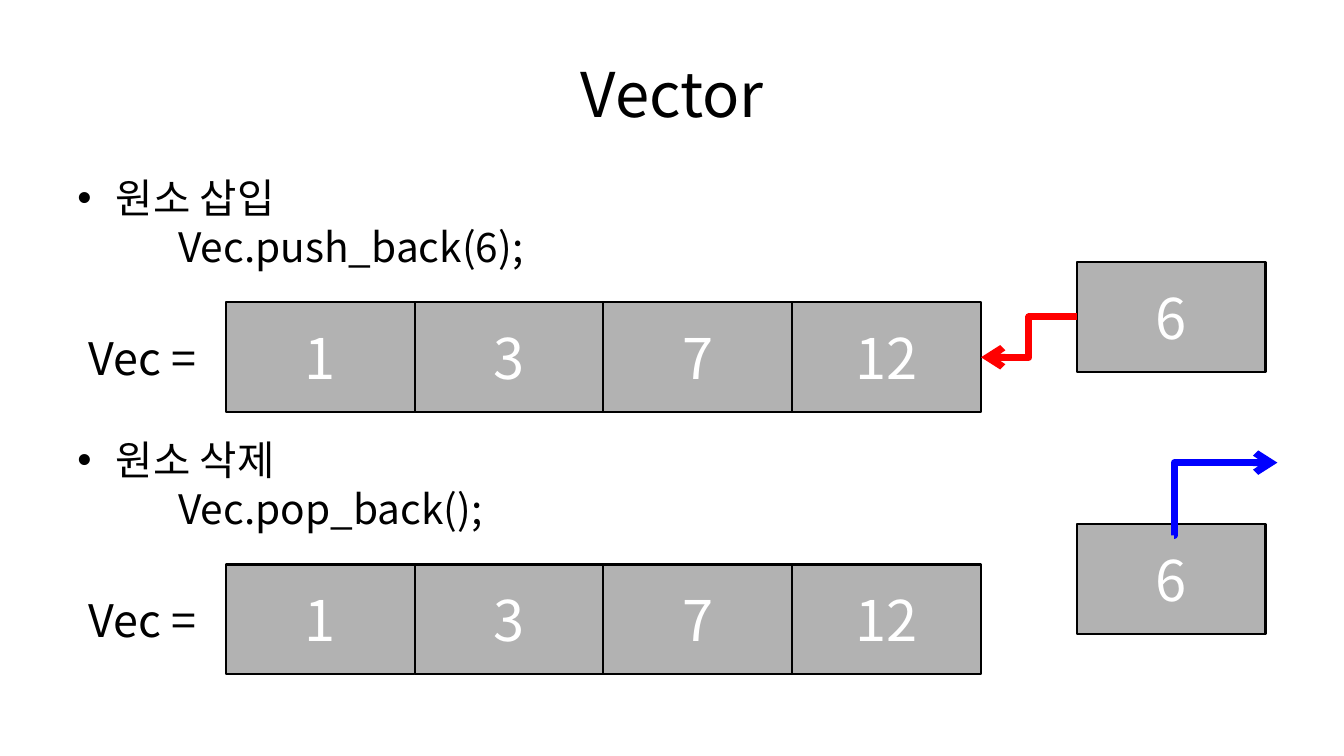
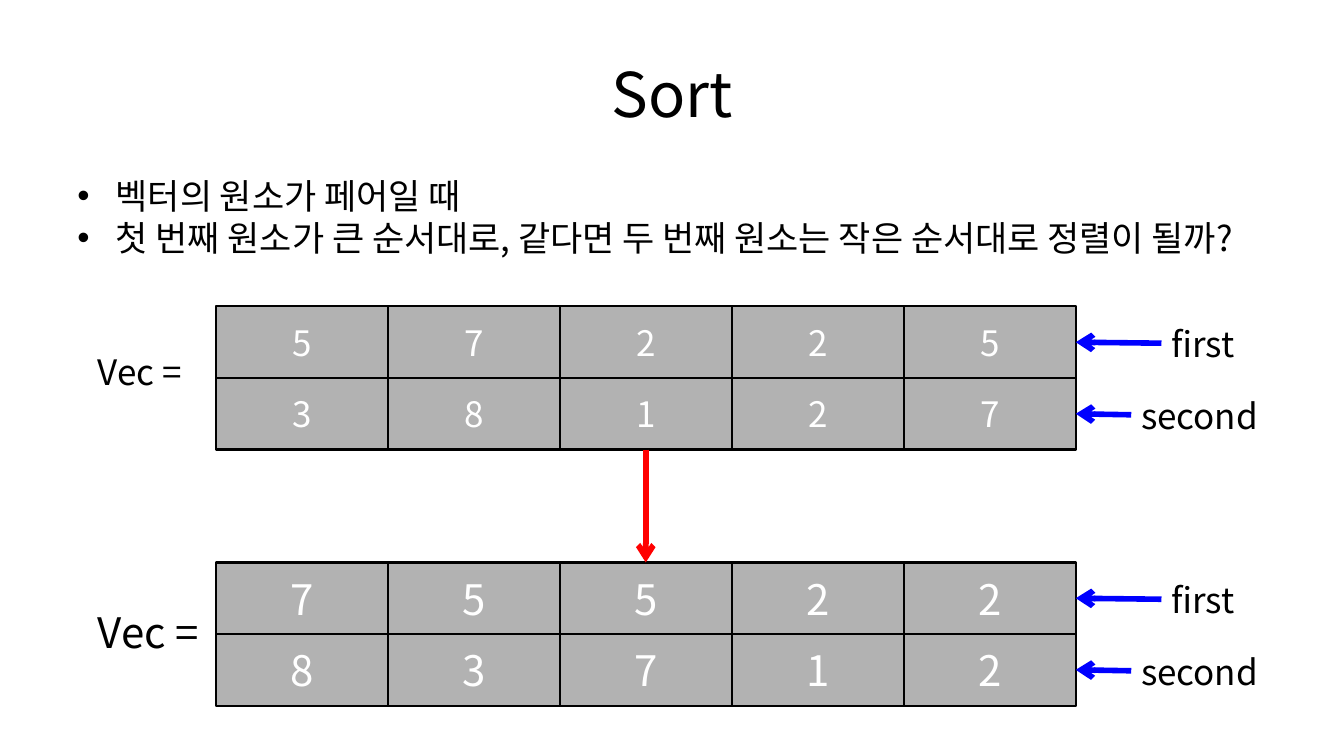
"""Build two slides on inserting into, removing from and sorting a vector."""
from dataclasses import dataclass

from lxml import etree
from pptx import Presentation
from pptx import util as u
from pptx.dml.color import RGBColor
from pptx.enum import shapes, text
from pptx.oxml.ns import qn


@dataclass(frozen=True)
class Theme:
    font: str = "Noto Sans CJK KR"
    ink: RGBColor = RGBColor(0, 0, 0)
    light: RGBColor = RGBColor(255, 255, 255)
    cell: RGBColor = RGBColor(0xB2, 0xB2, 0xB2)
    red: RGBColor = RGBColor(255, 0, 0)
    blue: RGBColor = RGBColor(0, 0, 255)
    title: int = 44
    element: int = 40
    label: int = 32
    operation: int = 29
    small: int = 25
    sorted_pair: int = 30


theme = Theme()


def add_text(page, frame, lines, size, role):
    """Add a title, body, label or filled cell; body lines are (text, has bullet)."""
    place = [u.Inches(length) for length in frame]
    if role == "cell":
        box = page.shapes.add_shape(shapes.MSO_SHAPE.RECTANGLE, *place)
        box.shadow.inherit = False
        box.fill.solid()
        box.fill.fore_color.rgb = theme.cell
        box.line.color.rgb = theme.ink
        box.line.width = u.Pt(1.5)
    else:
        box = page.shapes.add_textbox(*place)
    body = box.text_frame
    body.word_wrap = role != "label"
    if role == "label":
        body.auto_size = text.MSO_AUTO_SIZE.SHAPE_TO_FIT_TEXT
    centred = role in ("title", "cell")
    body.vertical_anchor = text.MSO_ANCHOR.MIDDLE if centred else text.MSO_ANCHOR.TOP
    for index, (words, bullet) in enumerate(lines):
        para = body.add_paragraph() if index else body.paragraphs[0]
        para.text = words
        para.alignment = text.PP_ALIGN.CENTER if centred else text.PP_ALIGN.LEFT
        if role == "body":
            para.line_spacing = 0.83
            para.space_before = u.Pt(size * 0.2)
        para.font.size = u.Pt(size)
        para.font.color.rgb = theme.light if role == "cell" else theme.ink
        para.font.name = theme.font
        settings = para._p.get_or_add_pPr()
        defaults = settings.find(qn("a:defRPr"))
        etree.SubElement(defaults, qn("a:ea"), typeface=theme.font)
        if bullet:
            settings.set("marL", str(u.Inches(0.38)))
            settings.set("indent", str(u.Inches(-0.38)))
            defaults.addprevious(etree.Element(qn("a:buFont"), typeface="Arial"))
            defaults.addprevious(etree.Element(qn("a:buChar"), char="•"))
        elif role == "body":
            settings.set("marL", str(u.Inches(1)))
            settings.set("indent", "0")
    return box


def add_arrow(page, kind, color, width, points=(0, 0, 0, 0), start=None, end=None):
    """Add an arrow between points, or between (shape, side) pairs."""
    arrow = page.shapes.add_connector(kind, *[u.Inches(point) for point in points])
    if start:
        arrow.begin_connect(*start)
    if end:
        arrow.end_connect(*end)
    arrow.line.color.rgb = color
    arrow.line.width = u.Pt(width)
    etree.SubElement(arrow.line._get_or_add_ln(), qn("a:tailEnd"), type="arrow")
    etree.SubElement(arrow._element.spPr, qn("a:effectLst"))
    return arrow


deck = Presentation()
deck.slide_width, deck.slide_height = u.Inches(13.33), u.Inches(7.5)
pages = []
for title in ("Vector", "Sort"):
    page = deck.slides.add_slide(deck.slide_layouts[6])
    add_text(page, (0.67, 0.3, 12, 1.25), [(title, False)], theme.title, "title")
    pages.append(page)
vector_page, sort_page = pages
elbow, straight = shapes.MSO_CONNECTOR.ELBOW, shapes.MSO_CONNECTOR.STRAIGHT

cell_width, cell_height = 7.49 / 4, 1.09
operations = (
    (1.75, "원소 삽입", "Vec.push_back(6);"),
    (4.35, "원소 삭제", "Vec.pop_back();"),
)
moving_cells, last_cells = [], []
for top, heading, call in operations:
    add_text(vector_page, (0.67, top, 12, 1.6), [(heading, True), (call, False)],
             theme.operation, "body")
    moving_cells.append(add_text(vector_page, (10.68, top + 0.85, cell_width, cell_height),
                                 [("6", False)], theme.element, "cell"))
    for column, value in enumerate(("1", "3", "7", "12")):
        cell = add_text(vector_page,
                        (2.24 + column * cell_width, top + 1.25, cell_width, cell_height),
                        [(value, False)], theme.element, "cell")
    last_cells.append(cell)
    add_text(vector_page, (0.78, top + 1.48, 1.46, 0.63), [("Vec =", False)],
             theme.label, "label")

add_arrow(vector_page, elbow, theme.red, 5,
          start=(moving_cells[0], 1), end=(last_cells[0], 3))
removal = add_arrow(vector_page, elbow, theme.blue, 5, (11.64, 5.31, 12.67, 4.59))
bend = removal._element.spPr.find(qn("a:prstGeom")).find(qn("a:avLst"))
etree.SubElement(bend, qn("a:gd"), name="adj1", fmla="val 800")

questions = (
    "벡터의 원소가 페어일 때",
    "첫 번째 원소가 큰 순서대로, 같다면 두 번째 원소는 작은 순서대로 정렬이 될까?",
)
add_text(sort_page, (0.67, 1.75, 12.2, 4.54), [(line, True) for line in questions],
         theme.small, "body")

pair_width, pair_height = 8.53 / 5, 0.71
grids = (
    (3.04, theme.small, 1.09, 0.51, ("57225", "38127")),
    (5.58, theme.sorted_pair, 1.27, 0.59, ("75522", "83712")),
)
members = (("first", 11.52, 0.86), ("second", 11.22, 1.36))
middle_cells = []
for top, size, label_width, label_height, rows in grids:
    cells = [
        [add_text(sort_page,
                  (2.14 + column * pair_width, top + row * pair_height,
                   pair_width, pair_height),
                  [(value, False)], size, "cell")
         for column, value in enumerate(values)]
        for row, values in enumerate(rows)
    ]
    middle_cells.append([row_cells[2] for row_cells in cells])
    add_text(sort_page, (0.87, top + 0.39, label_width, label_height),
             [("Vec =", False)], size, "label")
    for row, (member, left, width) in enumerate(members):
        label = add_text(sort_page, (left, top + 0.11 + row * pair_height, width, 0.51),
                         [(member, False)], theme.small, "label")
        add_arrow(sort_page, straight, theme.blue, 4,
                  start=(label, 1), end=(cells[row][-1], 3))

add_arrow(sort_page, straight, theme.red, 4,
          start=(middle_cells[0][1], 2), end=(middle_cells[1][0], 0))

deck.save("out.pptx")
